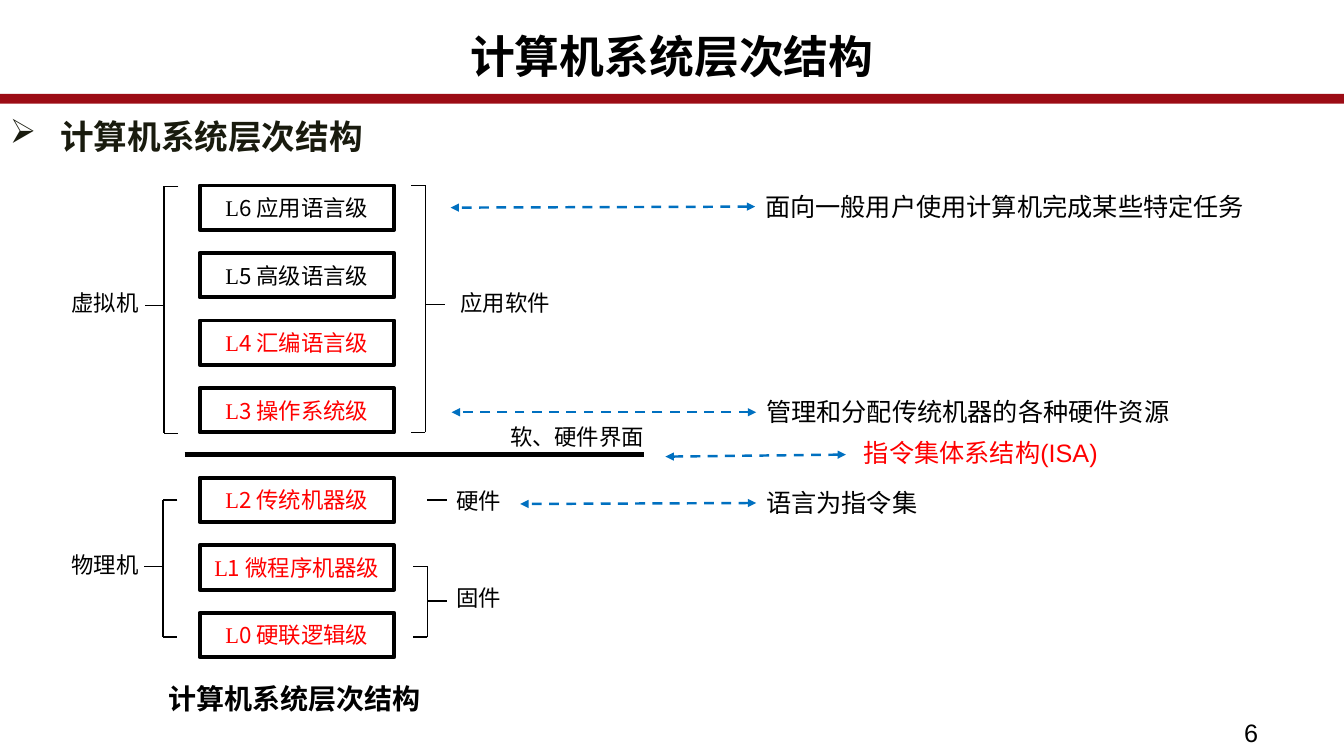
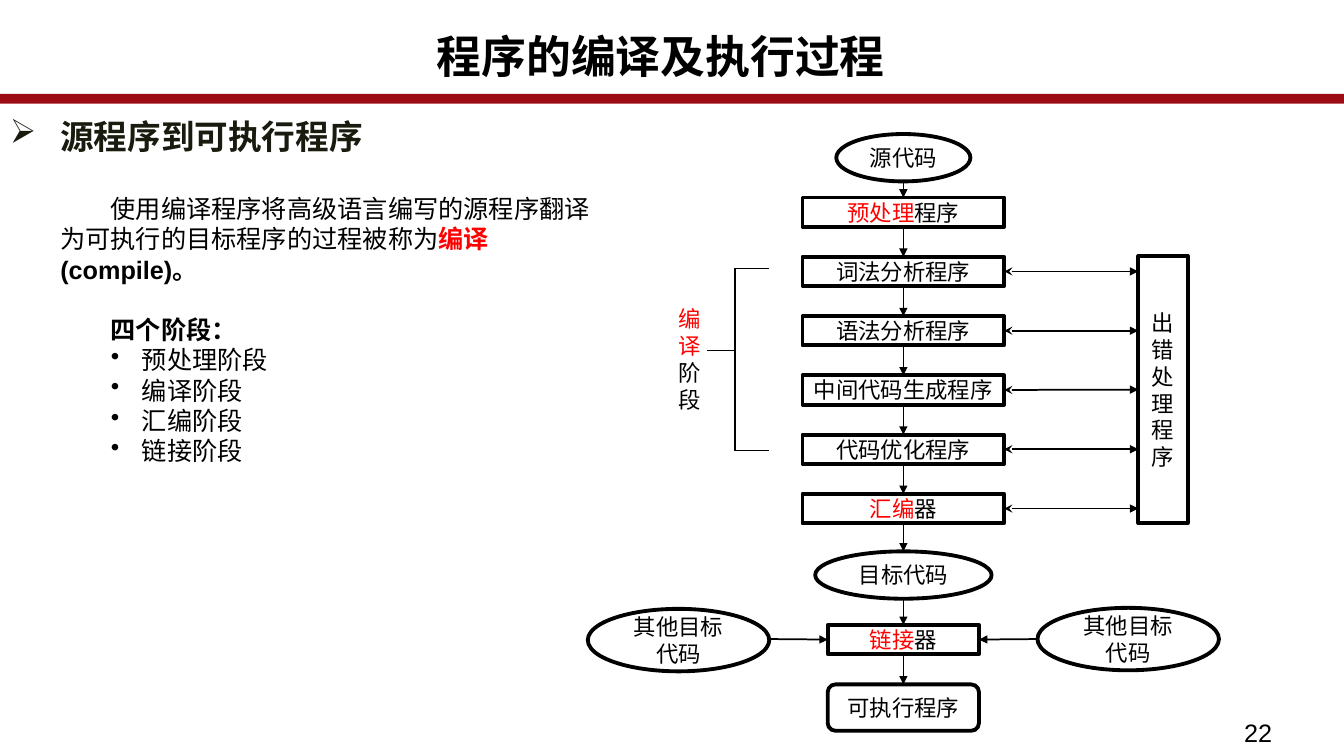
from lxml import etree
from pptx import Presentation
from pptx.dml.color import RGBColor
from pptx.enum.dml import MSO_LINE
from pptx.enum.shapes import MSO_CONNECTOR, MSO_SHAPE
from pptx.enum.text import MSO_ANCHOR, MSO_AUTO_SIZE, PP_ALIGN
from pptx.oxml.ns import qn
from pptx.util import Inches, Pt

STRAIGHT = MSO_CONNECTOR.STRAIGHT
RECTANGLE, ROUNDED, OVAL = MSO_SHAPE.RECTANGLE, MSO_SHAPE.ROUNDED_RECTANGLE, MSO_SHAPE.OVAL
CENTER, LEFT = PP_ALIGN.CENTER, PP_ALIGN.LEFT
TOP, MIDDLE = MSO_ANCHOR.TOP, MSO_ANCHOR.MIDDLE
DASH = MSO_LINE.DASH
NO_FIT = MSO_AUTO_SIZE.NONE
BOX_TOP, BOX_LEFT, BOX_BOTTOM, BOX_RIGHT = range(4)

COLORS = {"band": "9C0C15", "heading": "191B0E", "black": "000000",
          "white": "FFFFFF", "red": "FF0000", "blue": "0070C0"}
RGB = {name: RGBColor.from_string(value) for name, value in COLORS.items()}
CJK = "Noto Sans CJK SC"
SERIF = "Times New Roman"
BASE = {"name": "Arial", "size": 18, "bold": False, "color": "black"}
RED = {"color": "red"}
BLACK_LINE = 1.25


def write(para, runs, align=LEFT, indent=None, bullet=None, **looks):
    """Fill a paragraph with (text, changes) runs in the given looks."""
    if isinstance(runs, str):
        runs = [(runs, {})]
    properties = para._p.get_or_add_pPr()
    if indent:
        properties.set("marL", str(Inches(indent[0])))
        properties.set("indent", str(Inches(indent[1])))
    if bullet:
        etree.SubElement(properties, qn("a:buChar")).set("char", bullet)
    para.alignment = align
    para.line_spacing = Pt(1.2 * looks.get("size", BASE["size"]))
    for text, changes in runs:
        look = BASE | looks | changes
        span = para.add_run()
        span.text = text
        span.font.color.rgb = RGB[look["color"]]
        for key, value in {"name": look["name"], "size": Pt(look["size"]),
                           "bold": look["bold"]}.items():
            setattr(span.font, key, value)
        east_asian = etree.SubElement(span._r.get_or_add_rPr(), qn("a:ea"))
        east_asian.set("typeface", CJK)


def draw_line(page, start, end, width=BLACK_LINE, color="black", dash=None, head=None, tail=None):
    """Draw a straight connector between two points in inches."""
    line = page.shapes.add_connector(STRAIGHT, *[Inches(value) for value in (*start, *end)])
    line.line.color.rgb = RGB[color]
    line.line.width = Pt(width)
    if dash:
        line.line.dash_style = dash
    properties = line.element.spPr
    outline = properties.find(qn("a:ln"))
    for tag, kind in (("a:headEnd", head), ("a:tailEnd", tail)):
        if kind:
            etree.SubElement(outline, qn(tag)).set("type", kind)
    etree.SubElement(properties, qn("a:effectLst"))
    return line


deck = Presentation()
deck.slide_width, deck.slide_height = Inches(13.33), Inches(7.5)
layout = deck.slide_layouts[5]

# Title, heading and page number; the last value is extra room right of the title
pages = []
for title, heading, number, title_room in (
    ("计算机系统层次结构", "计算机系统层次结构", "6", 0),
    ("程序的编译及执行过程", "源程序到可执行程序", "22", 0.22),
):
    page = deck.slides.add_slide(layout)
    pages.append(page)
    holder = page.shapes.title
    holder.left, holder.top = Inches(0), Inches(0.26)
    holder.width, holder.height = Inches(13.33), Inches(0.75)
    for key, value in {"auto_size": NO_FIT, "vertical_anchor": TOP, "word_wrap": True,
                       "margin_top": Inches(0.02),
                       "margin_right": Inches(0.1 + title_room)}.items():
        setattr(holder.text_frame, key, value)
    write(holder.text_frame.paragraphs[0], title, CENTER, size=32, bold=True)
    for text, place, looks in (
        (heading, (0, 1.1, 5.4, 0.51),
         {"size": 24, "bold": True, "color": "heading", "indent": (0.5, -0.5), "bullet": "➢"}),
        (number, (12.24, 7.07, 1.09, 0.44), {}),
    ):
        box = page.shapes.add_textbox(*[Inches(value) for value in place])
        box.text_frame.word_wrap = True
        write(box.text_frame.paragraphs[0], text, **looks)
levels_page, compile_page = pages

# Red band, kept on the layout
band = levels_page.shapes.add_shape(ROUNDED, Inches(-0.01), Inches(0.95),
                                    Inches(13.34), Inches(0.06))
band.shadow.inherit = False
band.fill.solid()
band.fill.fore_color.rgb = band.line.color.rgb = RGB["band"]
band.line.width = Pt(2.75)
band.element.nvSpPr.cNvPr.set("id", "20")
layout.shapes.element.append(band.element)

# Boxes of both pages: page, kind, left, top, width, height, runs
boxes = []
for index, (name, color) in enumerate((
    ("6 应用语言级", "black"), ("5 高级语言级", "black"), ("4 汇编语言级", "red"),
    ("3 操作系统级", "red"), ("2 传统机器级", "red"), ("1 微程序机器级", "red"),
    ("0 硬联逻辑级", "red"),
)):
    top = 1.84 + 0.67 * index if index < 4 else 4.74 + 0.67 * (index - 4)
    runs = [("L", {"color": color}), (name, {"color": color, "name": CJK})]
    boxes.append((levels_page, RECTANGLE, 1.98, top, 1.93, 0.44, runs))

FLOW_X = 8.96
STEP_TOP, STEP_PITCH, STEP_HEIGHT = 1.96, (4.9 - 1.96) / 5, 0.29
flow = [(OVAL, 1.33, 1.33, 0.47, "源代码")]
for index, runs in enumerate((
    [("预处理", RED), ("程序", {})], "词法分析程序", "语法分析程序",
    "中间代码生成程序", "代码优化程序", [("汇编", RED), ("器", {})],
)):
    flow.append((RECTANGLE, STEP_TOP + STEP_PITCH * index, 2, STEP_HEIGHT, runs))
flow += [(OVAL, 5.47, 1.75, 0.47, "目标代码"),
         (RECTANGLE, 6.2, 1.5, STEP_HEIGHT, [("链接", RED), ("器", {})]),
         (ROUNDED, 6.79, 1.5, 0.46, "可执行程序")]
flow_start = len(boxes)
boxes += [(compile_page, kind, FLOW_X - width / 2, top, width, height, runs)
          for kind, top, width, height, runs in flow]
boxes += [(compile_page, OVAL, 5.83, 6.04, 1.8, 0.62, "其他目标代码"),
          (compile_page, OVAL, 10.29, 6.03, 1.8, 0.62, "其他目标代码"),
          (compile_page, RECTANGLE, 11.29, 2.54, 0.49, 2.65, "出错处理程序")]

drawn = []
for page, kind, left, top, width, height, runs in boxes:
    box = page.shapes.add_shape(kind, *[Inches(value) for value in (left, top, width, height)])
    box.shadow.inherit = False
    box.fill.solid()
    box.fill.fore_color.rgb = RGB["white"]
    box.line.color.rgb = RGB["black"]
    box.line.width = Pt(2.75)
    side = Inches(0.1 if kind == OVAL else 0.05)
    for key, value in {"word_wrap": True, "vertical_anchor": MIDDLE, "margin_left": side,
                       "margin_right": side, "margin_top": 0, "margin_bottom": 0}.items():
        setattr(box.text_frame, key, value)
    write(box.text_frame.paragraphs[0], runs, CENTER, name=SERIF, size=16)
    drawn.append(box)

# Labels: page, text, left, top, width, height, looks
small = {"name": CJK, "size": 16}
for page, runs, left, top, width, height, looks in (
    (levels_page, "软、硬件界面", 4.96, 4.15, 1.71, 0.32, small),
    (levels_page, "应用软件", 4.47, 2.82, 1.71, 0.32, small),
    (levels_page, "硬件", 4.43, 4.78, 0.73, 0.37, small),
    (levels_page, "固件", 4.43, 5.75, 0.73, 0.37, small),
    (levels_page, "虚拟机", 0.61, 2.82, 0.93, 0.32, small),
    (levels_page, "物理机", 0.61, 5.42, 0.93, 0.32, small),
    (levels_page, "计算机系统层次结构", 0.01, 6.71, 5.82, 0.44,
     {"name": CJK, "size": 20, "bold": True, "align": CENTER}),
    (levels_page, "面向一般用户使用计算机完成某些特定任务", 7.49, 1.85, 4.99, 0.4, {}),
    (levels_page, "管理和分配传统机器的各种硬件资源", 7.5, 3.88, 5.33, 0.4, {}),
    (levels_page, "语言为指令集", 7.5, 4.79, 2.11, 0.4, {}),
    (levels_page, "指令集体系结构(ISA)", 8.47, 4.29, 4.24, 0.4, RED),
    (compile_page, [("编译", RED), ("阶段", {})], 6.63, 2.98, 0.37, 1.18,
     {"name": SERIF, "size": 16}),
):
    box = page.shapes.add_textbox(*[Inches(value) for value in (left, top, width, height)])
    box.text_frame.word_wrap = True
    write(box.text_frame.paragraphs[0], runs, **looks)

# Brackets: page, tip x, spine x, stem x, top, bottom, stem y, line width
for page, tip, spine, stem, top, bottom, middle, width in (
    (levels_page, 1.77, 1.63, 1.44, 1.85, 4.3, 3.03, BLACK_LINE),
    (levels_page, 4.08, 4.22, 4.41, 1.84, 4.29, 3.02, BLACK_LINE),
    (levels_page, 1.76, 1.62, 1.43, 4.96, 6.32, 5.62, BLACK_LINE),
    (levels_page, 4.1, 4.24, 4.43, 5.62, 6.32, 5.96, BLACK_LINE),
    (compile_page, 7.63, 7.29, 7.01, 2.66, 4.47, 3.48, 0.75),
):
    for start, end in (((tip, top), (spine, top)), ((spine, top), (spine, bottom)),
                       ((spine, bottom), (tip, bottom)), ((spine, middle), (stem, middle))):
        draw_line(page, start, end, width)

# Hardware tick, software/hardware border and dashed arrows
draw_line(levels_page, (4.43, 4.96), (4.24, 4.96))
draw_line(levels_page, (1.83, 4.51), (6.39, 4.51), 3.5)
for start, end in (((7.49, 2.05), (4.47, 2.06)), ((7.5, 4.09), (4.48, 4.09)),
                   ((7.5, 4.99), (5.16, 5)), ((8.39, 4.51), (6.6, 4.53))):
    draw_line(levels_page, start, end, 1.75, "blue", DASH, "triangle", "triangle")

# Arrows down the flow
flow_boxes = drawn[flow_start:flow_start + len(flow)]
for index in range(len(flow) - 1):
    kind, top, _, height, _ = flow[index]
    arrow = draw_line(compile_page, (FLOW_X, top + height), (FLOW_X, flow[index + 1][1]),
                      tail="triangle")
    if kind == RECTANGLE:
        arrow.begin_connect(flow_boxes[index], BOX_BOTTOM)
    arrow.end_connect(flow_boxes[index + 1], BOX_TOP)

# Other object code into the linker
linker = flow_boxes[8]
for start_x, end_x, side in ((7.63, 8.21, BOX_LEFT), (10.29, 9.71, BOX_RIGHT)):
    arrow = draw_line(compile_page, (start_x, 6.34), (end_x, 6.34), tail="triangle")
    arrow.end_connect(linker, side)

# Arrows between the steps and error handling
error_box = drawn[-1]
for index in range(1, 6):
    y = STEP_TOP + STEP_PITCH * index + STEP_HEIGHT / 2
    arrow = draw_line(compile_page, (9.96, y), (11.29, y), head="stealth", tail="triangle")
    arrow.begin_connect(flow_boxes[index + 1], BOX_RIGHT)
    if index == 3:
        arrow.end_connect(error_box, BOX_LEFT)

# Explanation of compiling
box = compile_page.shapes.add_textbox(Inches(0.5), Inches(1.87), Inches(5.68), Inches(2.52))
frame = box.text_frame
frame.word_wrap = True
write(frame.paragraphs[0],
      [("使用编译程序将高级语言编写的源程序翻译为可执行的目标程序的过程被称为", {}),
       ("编译", {"color": "red", "bold": True}), ("(compile)。", {"bold": True})],
      indent=(0, 0.5))
para = frame.add_paragraph()
write(para, "四个阶段：", indent=(0, 0.5), bold=True)
para.space_before = Pt(21.6)
for stage in ("预处理阶段", "编译阶段", "汇编阶段", "链接阶段"):
    write(frame.add_paragraph(), stage, indent=(0.81, -0.31), bullet="•")

deck.save("out.pptx")
